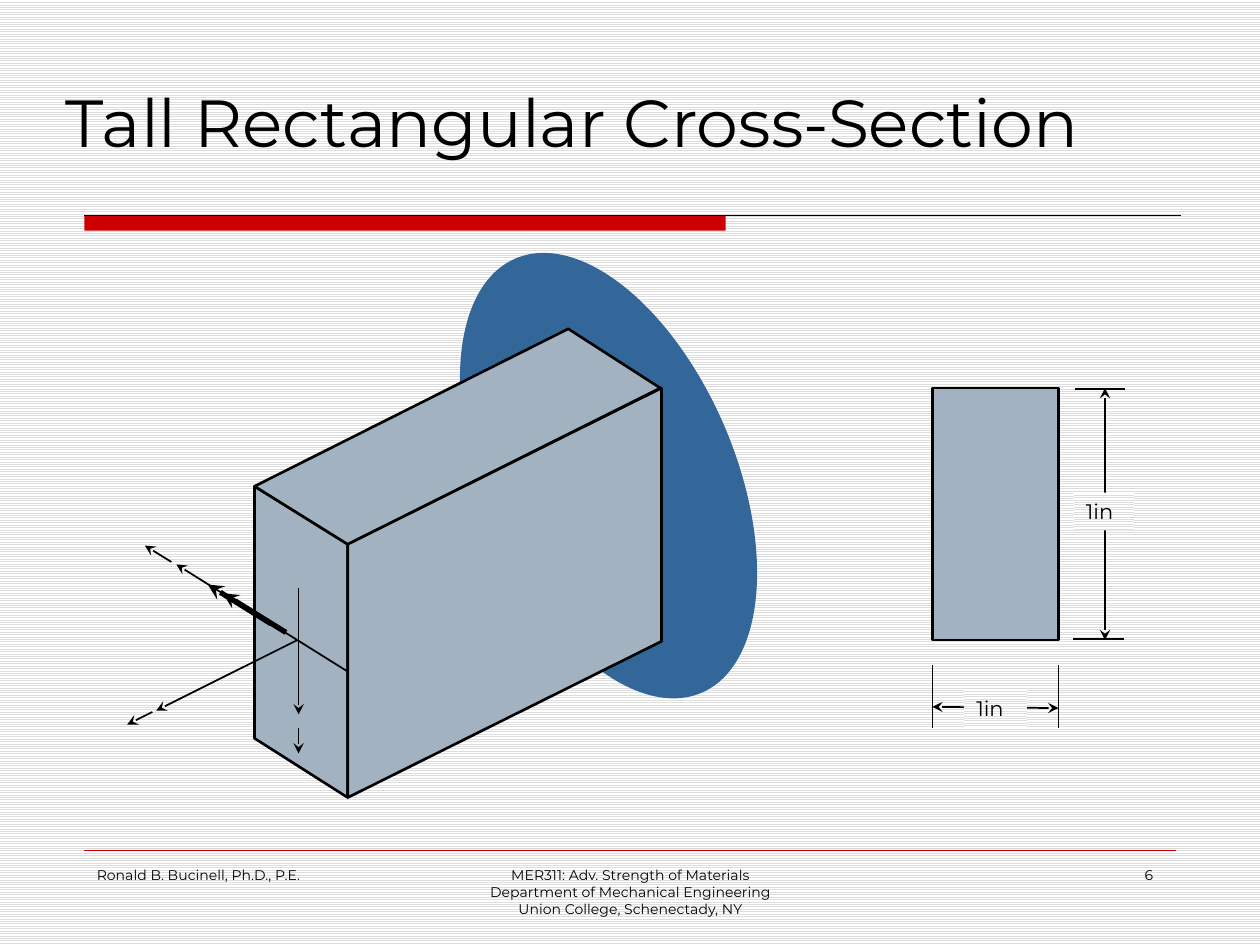
from dataclasses import dataclass

from lxml import etree
from pptx import Presentation
from pptx import util as u
from pptx.dml.color import RGBColor
from pptx.enum import dml, shapes, text
from pptx.oxml.ns import qn


@dataclass(frozen=True)
class Theme:
    font: str = "Montserrat"
    ink: RGBColor = RGBColor(0, 0, 0)
    paper: RGBColor = RGBColor(255, 255, 255)
    stripe: RGBColor = RGBColor(0xDD, 0xDD, 0xDD)
    red: RGBColor = RGBColor(0xCC, 0, 0)
    wall: RGBColor = RGBColor(0x33, 0x66, 0x99)
    beam: RGBColor = RGBColor(0xA3, 0xB2, 0xC1)
    title_size: int = 38
    label_size: int = 12
    footer_size: int = 8


theme = Theme()


def paint(shape, color=None, line_width=None):
    shape.shadow.inherit = False
    if color is None:
        shape.fill.patterned()
        shape.fill.pattern = dml.MSO_PATTERN.LIGHT_HORIZONTAL
        shape.fill.fore_color.rgb = theme.stripe
        shape.fill.back_color.rgb = theme.paper
    else:
        shape.fill.solid()
        shape.fill.fore_color.rgb = color
    if line_width:
        shape.line.color.rgb = theme.ink
        shape.line.width = u.Pt(line_width)
    else:
        shape.line.fill.background()


def write(shape, lines, size, alignment=text.PP_ALIGN.LEFT, **frame_format):
    frame = shape.text_frame
    for name, value in frame_format.items():
        setattr(frame, name, value)
    frame.text = "\n".join(lines)
    font_format = {"name": theme.font, "size": u.Pt(size), "bold": False}
    for paragraph in frame.paragraphs:
        paragraph.alignment = alignment
        for name, value in font_format.items():
            setattr(paragraph.font, name, value)
        paragraph.font.color.rgb = theme.ink


presentation = Presentation()
presentation.slide_width = u.Inches(10)
presentation.slide_height = u.Inches(7.5)
slide = presentation.slides.add_slide(presentation.slide_layouts[5])
background = slide.background.fill
background.patterned()
background.pattern = dml.MSO_PATTERN.LIGHT_HORIZONTAL
background.fore_color.rgb = theme.stripe
background.back_color.rgb = theme.paper

title = slide.shapes.title
title_box = {"left": 0.42, "top": 0.58, "width": 9.21, "height": 0.75}
for name, value in title_box.items():
    setattr(title, name, u.Inches(value))
write(title, ["Tall Rectangular Cross-Section"], theme.title_size,
      auto_size=text.MSO_AUTO_SIZE.NONE, vertical_anchor=text.MSO_ANCHOR.BOTTOM)

solids = [
    (shapes.MSO_SHAPE.RECTANGLE, (0.67, 1.71, 5.09, 0.12), 0, theme.red, None),
    (shapes.MSO_SHAPE.OVAL, (3.83, 1.9, 2, 3.75), 336.8, theme.wall, None),
    (shapes.MSO_SHAPE.RECTANGLE, (7.4, 3.08, 1, 2), 0, theme.beam, 1.5),
]
for kind, box, rotation, color, line_width in solids:
    shape = slide.shapes.add_shape(kind, *map(u.Inches, box))
    shape.rotation = rotation
    paint(shape, color, line_width)

end_face = [(2.02, 3.86), (2.76, 4.32), (2.76, 6.33), (2.02, 5.86)]
top_face = [(2.76, 4.32), (2.02, 3.86), (4.51, 2.61), (5.24, 3.08)]
side_face = [(2.76, 6.33), (2.76, 4.32), (5.25, 3.08), (5.25, 5.09)]
faces = []
for points in (end_face, top_face, side_face):
    corners = [(u.Inches(x), u.Inches(y)) for x, y in points]
    builder = slide.shapes.build_freeform(*corners[0])
    builder.add_line_segments(corners[1:], close=True)
    face = builder.convert_to_shape()
    paint(face, theme.beam, 1.5)
    faces.append(face)

rules = [
    (0.67, 1.71, 9.37, 1.71, 0.75, theme.ink),
    (0.67, 6.75, 9.33, 6.75, 0.25, theme.red),
]
extension_lines = [
    (8.53, 3.09, 8.93, 3.09),
    (8.52, 5.07, 8.92, 5.07),
    (7.4, 5.28, 7.4, 5.78),
    (8.4, 5.28, 8.4, 5.78),
]
dimension_lines = [(8.77, 3.08, 8.77, 5.08), (7.4, 5.61, 8.4, 5.62)]
axis_arrows = [
    (2.37, 4.67, 2.37, 5.67),
    (2.37, 5.78, 2.37, 5.98),
    (2.84, 5.38, 1.4, 4.48),
    (1.36, 4.46, 1.15, 4.33),
    (2.36, 5.08, 1.24, 5.64),
    (1.21, 5.65, 1.01, 5.75),
]
moment_arrows = [(2.15, 4.95, 1.65, 4.64), (2.27, 5.02, 1.77, 4.71)]

lines = [(*rule, ()) for rule in rules]
for group, width, ends in [
    (extension_lines, 1, ()),
    (dimension_lines, 1, ("a:headEnd", "a:tailEnd")),
    (axis_arrows, 1, ("a:tailEnd",)),
    (moment_arrows, 3, ("a:tailEnd",)),
]:
    lines += [(*points, width, theme.ink, ends) for points in group]

for *points, width, color, ends in lines:
    connector = slide.shapes.add_connector(
        shapes.MSO_CONNECTOR.STRAIGHT, *map(u.Inches, points))
    connector.line.color.rgb = color
    connector.line.width = u.Pt(width)
    properties = connector.element.spPr
    outline = properties.find(qn("a:ln"))
    for end in ends:
        etree.SubElement(outline, qn(end), type="stealth")
    etree.SubElement(properties, qn("a:effectLst"))

slide.shapes.element.append(faces[-1].element)

for box, wrap in [((8.52, 3.91, 0.48, 0.3), False), ((7.65, 5.47, 0.5, 0.3), True)]:
    label = slide.shapes.add_shape(shapes.MSO_SHAPE.RECTANGLE, *map(u.Inches, box))
    paint(label)
    write(label, ["1in"], theme.label_size, word_wrap=wrap,
          auto_size=text.MSO_AUTO_SIZE.SHAPE_TO_FIT_TEXT,
          vertical_anchor=text.MSO_ANCHOR.TOP)

footers = [
    (0.67, 2.08, text.PP_ALIGN.LEFT, ["Ronald B. Bucinell, Ph.D., P.E."]),
    (3.42, 3.17, text.PP_ALIGN.CENTER, [
        "MER311: Adv. Strength of Materials",
        "Department of Mechanical Engineering",
        "Union College, Schenectady, NY",
    ]),
    (7.17, 2.08, text.PP_ALIGN.RIGHT, ["6"]),
]
for left, width, alignment, content in footers:
    footer = slide.shapes.add_textbox(*map(u.Inches, (left, 6.83, width, 0.5)))
    write(footer, content, theme.footer_size, alignment, word_wrap=True)

presentation.save("out.pptx")
